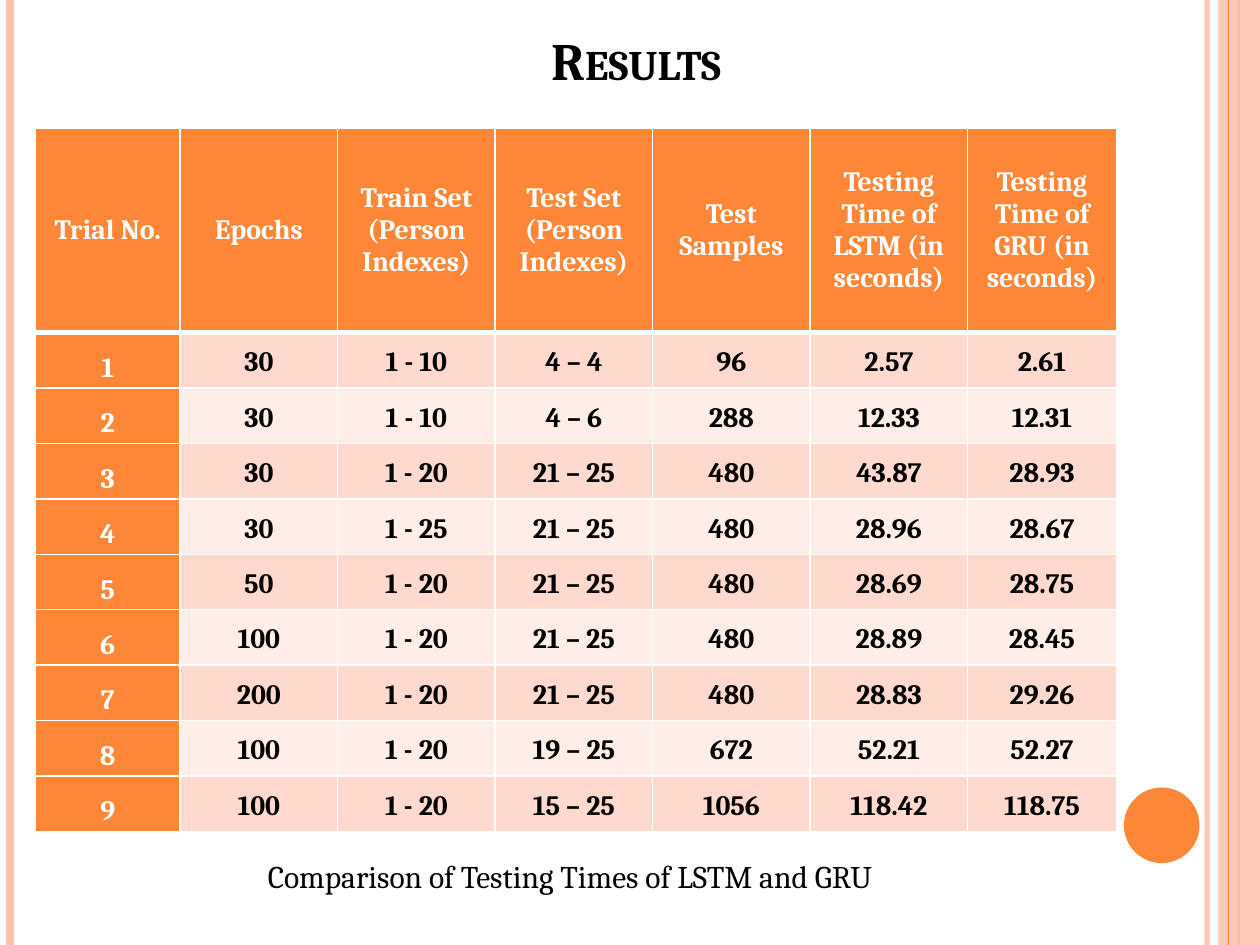
from lxml import etree
from pptx import Presentation
from pptx.dml.color import RGBColor
from pptx.enum.shapes import MSO_CONNECTOR, MSO_SHAPE
from pptx.enum.text import MSO_ANCHOR, PP_ALIGN
from pptx.oxml.ns import qn
from pptx.util import Inches, Pt

STRAIGHT = MSO_CONNECTOR.STRAIGHT
RECT, OVAL = MSO_SHAPE.RECTANGLE, MSO_SHAPE.OVAL
MIDDLE, BOTTOM, TOP = MSO_ANCHOR.MIDDLE, MSO_ANCHOR.BOTTOM, MSO_ANCHOR.TOP
CENTER = PP_ALIGN.CENTER

FONT = "Cambria"
COLORS = {
    "orange": "FE8637",
    "peach": "FEC3AE",
    "band_dark": "FFD9CE",
    "band_light": "FFEDE8",
    "white": "FFFFFF",
    "black": "000000",
}
HEADERS = [
    "Trial No.", "Epochs", "Train Set (Person Indexes)",
    "Test Set (Person Indexes)", "Test Samples",
    "Testing Time of LSTM (in seconds)", "Testing Time of GRU (in seconds)",
]
TRIALS = [
    ("30", "1 - 10", "4 – 4", "96", "2.57", "2.61"),
    ("30", "1 - 10", "4 – 6", "288", "12.33", "12.31"),
    ("30", "1 - 20", "21 – 25", "480", "43.87", "28.93"),
    ("30", "1 - 25", "21 – 25", "480", "28.96", "28.67"),
    ("50", "1 - 20", "21 – 25", "480", "28.69", "28.75"),
    ("100", "1 - 20", "21 – 25", "480", "28.89", "28.45"),
    ("200", "1 - 20", "21 – 25", "480", "28.83", "29.26"),
    ("100", "1 - 20", "19 – 25", "672", "52.21", "52.27"),
    ("100", "1 - 20", "15 – 25", "1056", "118.42", "118.75"),
]
COL_WIDTHS = [1.15] + [1.25] * 5 + [1.18]
ROW_HEIGHTS = [1.62] + [0.44] * len(TRIALS)


def rgb(name):
    return RGBColor.from_string(COLORS[name])


def set_alpha(fill_parent, percent):
    color = fill_parent.find(".//" + qn("a:srgbClr"))
    etree.SubElement(color, qn("a:alpha")).set("val", str(percent * 1000))


def add_stripe(s, x, color, width, alpha=None):
    line = s.shapes.add_connector(STRAIGHT, Inches(x), 0, Inches(x), Inches(7.5))
    line.line.color.rgb = rgb(color)
    line.line.width = Pt(width)
    sp_pr = line._element.spPr
    if alpha:
        set_alpha(sp_pr, alpha)
    etree.SubElement(sp_pr, qn("a:effectLst"))


def add_block(s, kind, x, y, w, h, color, alpha=None):
    sp = s.shapes.add_shape(kind, Inches(x), Inches(y), Inches(w), Inches(h))
    sp.shadow.inherit = False
    sp.fill.solid()
    sp.fill.fore_color.rgb = rgb(color)
    sp.line.fill.background()
    if alpha:
        set_alpha(sp._element.spPr, alpha)


def write(tf, text, size, color, bold=False, spacing=None):
    tf.text = text
    p = tf.paragraphs[0]
    p.alignment = CENTER
    if spacing:
        p.line_spacing = spacing
    r = p.runs[0]
    r.font.name = FONT
    r.font.size = Pt(size)
    r.font.bold = bold
    r.font.color.rgb = rgb(color)
    return r


def add_text(s, x, y, w, h, text, size, anchor=TOP, bold=False):
    tf = s.shapes.add_textbox(Inches(x), Inches(y), Inches(w), Inches(h)).text_frame
    tf.word_wrap = True
    tf.vertical_anchor = anchor
    return write(tf, text, size, "black", bold)


def set_borders(cell, top, bottom):
    tc_pr = cell._tc.get_or_add_tcPr()
    for side, width in (("L", 1), ("R", 1), ("T", top), ("B", bottom)):
        ln = etree.SubElement(tc_pr, qn("a:ln" + side), w=str(Pt(width)))
        fill = etree.SubElement(ln, qn("a:solidFill"))
        etree.SubElement(fill, qn("a:srgbClr"), val=COLORS["white"])


def style_cell(cell, text, row, col):
    if row == 0:
        fill, color, spacing = "orange", "white", None
    elif col == 0:
        fill, color, spacing = "orange", "white", 1.5
    else:
        fill = "band_dark" if row % 2 else "band_light"
        color, spacing = "black", 1.15
    set_borders(cell, 3 if row == 1 else 1, 3 if row == 0 else 1)
    cell.fill.solid()
    cell.fill.fore_color.rgb = rgb(fill)
    cell.margin_left = cell.margin_right = Inches(0.07)
    cell.margin_top = cell.margin_bottom = 0
    cell.vertical_anchor = MIDDLE
    write(cell.text_frame, text, 16, color, True, spacing)


def add_results_table(s):
    rows = [HEADERS] + [(str(n), *trial) for n, trial in enumerate(TRIALS, 1)]
    table = s.shapes.add_table(
        len(rows), len(HEADERS), Inches(0.28), Inches(1.02),
        Inches(sum(COL_WIDTHS)), Inches(sum(ROW_HEIGHTS))).table
    for column, width in zip(table.columns, COL_WIDTHS):
        column.width = Inches(width)
    for row, height in zip(table.rows, ROW_HEIGHTS):
        row.height = Inches(height)
    for i, values in enumerate(rows):
        for j, text in enumerate(values):
            style_cell(table.cell(i, j), text, i, j)


def main():
    prs = Presentation()
    prs.slide_width, prs.slide_height = Inches(10), Inches(7.5)
    s = prs.slides.add_slide(prs.slide_layouts[6])
    add_stripe(s, 9.58, "peach", 3, 93)
    add_stripe(s, 0.08, "peach", 4.5)
    add_stripe(s, 9.83, "orange", 1.5)
    add_block(s, RECT, 9.67, 0, 0.33, 7.5, "peach", 87)
    add_stripe(s, 9.75, "orange", 0.75)
    add_block(s, OVAL, 8.92, 6.25, 0.6, 0.6, "orange")
    add_results_table(s)
    title = add_text(s, 3.98, 0.13, 2.14, 0.64, "Results", 30, BOTTOM, True)
    title.font._element.set("cap", "small")
    add_text(s, 0.51, 6.75, 8.03, 0.4,
             "Comparison of Testing Times of LSTM and GRU", 18)
    prs.save("out.pptx")


if __name__ == "__main__":
    main()
